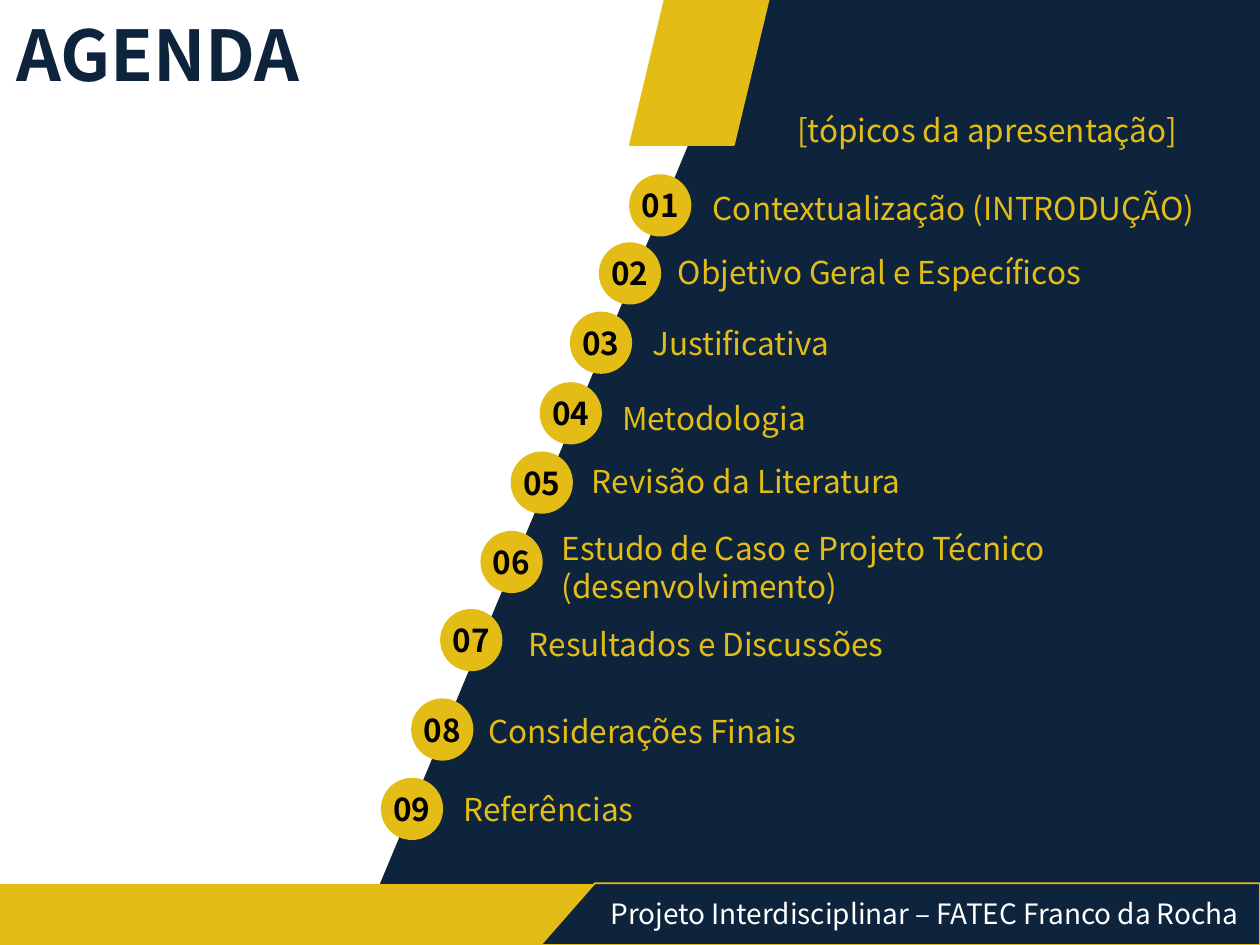
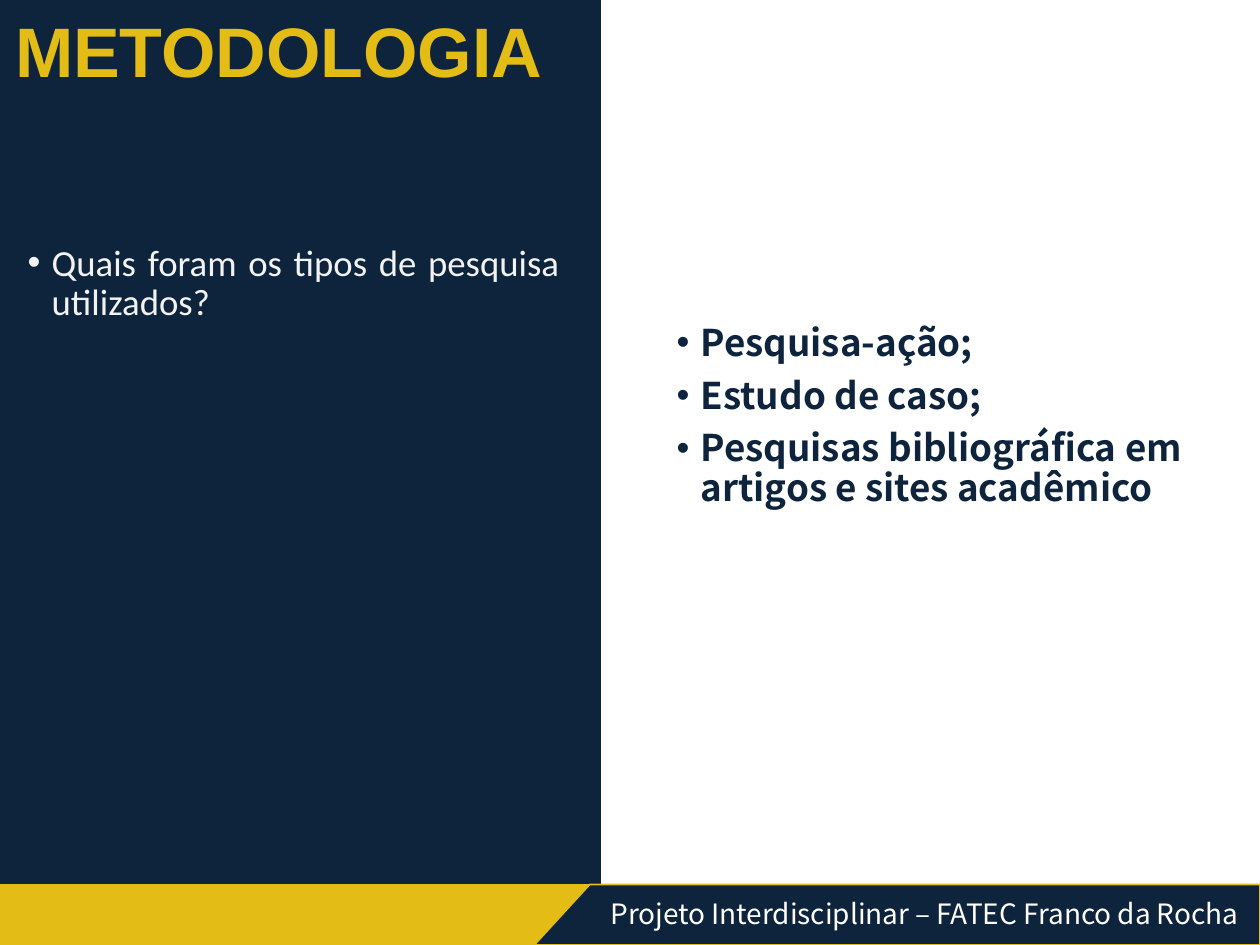
from lxml.etree import SubElement
from pptx import Presentation
from pptx.dml.color import RGBColor
from pptx.enum.shapes import MSO_SHAPE
from pptx.enum.text import MSO_ANCHOR, MSO_AUTO_SIZE, PP_ALIGN
from pptx.oxml.ns import qn
from pptx.util import Inches, Pt

COLOURS = {
    "navy": "0E243C",
    "gold": "E4BC16",
    "white": "FFFFFF",
    "pale": "F2F2F2",
    "black": "000000",
}
MAIN_FONT = "Noto Sans CJK KR"
FOOTER_TEXT = "Projeto Interdisciplinar – FATEC Franco da Rocha"
BADGE_SIZE = 0.48

TOPICS = [
    ("Contextualização (INTRODUÇÃO)", (5.0, 1.39), (5.56, 1.45)),
    ("Objetivo Geral e Específicos", (4.76, 1.93), (5.28, 1.96)),
    ("Justificativa", (4.53, 2.48), (5.08, 2.52)),
    ("Metodologia", (4.29, 3.04), (4.84, 3.12)),
    ("Revisão da Literatura", (4.06, 3.59), (4.6, 3.62)),
    ("Estudo de Caso e Projeto Técnico (desenvolvimento)", (3.82, 4.22), (4.36, 4.15)),
    ("Resultados e Discussões", (3.5, 4.84), (4.1, 4.91)),
    ("Considerações Finais", (3.27, 5.55), (3.78, 5.6)),
    ("Referências", (3.03, 6.18), (3.58, 6.22)),
]


def colour(name):
    """Return the named colour of the deck."""
    return RGBColor.from_string(COLOURS[name])


def paint(shape, fill, line=None):
    """Give a shape a flat fill and a thin outline."""
    shape.shadow.inherit = False
    shape.fill.solid()
    shape.fill.fore_color.rgb = colour(fill)
    shape.line.color.rgb = colour(line or fill)
    shape.line.width = Pt(1)
    return shape


def add_preset(page, kind, box, fill):
    """Add a painted preset shape in a box of left, top, width, height."""
    return paint(page.shapes.add_shape(kind, *map(Inches, box)), fill)


def add_outline(page, points, fill, line=None):
    """Add a closed polygon through points given in inches."""
    corners = [(Inches(x), Inches(y)) for x, y in points]
    builder = page.shapes.build_freeform(*corners[0])
    builder.add_line_segments(corners[1:], close=True)
    return paint(builder.convert_to_shape(), fill, line)


def send_to_back(page, shape):
    """Place a shape behind everything else on the page."""
    page.shapes._spTree.insert(2, shape._element)


def write(para, text, size, tint, font=MAIN_FONT, bold=False):
    """Add one formatted run to a paragraph."""
    span = para.add_run()
    span.text = text
    span.font.name = font
    span.font.size = Pt(size)
    span.font.bold = bold
    span.font.color.rgb = colour(tint)


def add_label(page, box, text, size, tint, align=PP_ALIGN.LEFT):
    """Add a wrapped single-paragraph text box."""
    frame = page.shapes.add_textbox(*map(Inches, box)).text_frame
    frame.word_wrap = True
    para = frame.paragraphs[0]
    para.alignment = align
    write(para, text, size, tint)


def place(holder, box):
    """Move a placeholder to a box and centre its text vertically."""
    holder.left, holder.top, holder.width, holder.height = map(Inches, box)
    frame = holder.text_frame
    frame.auto_size = MSO_AUTO_SIZE.NONE
    frame.word_wrap = True
    frame.vertical_anchor = MSO_ANCHOR.MIDDLE
    return frame


def set_title(page, box, text, tint, font=MAIN_FONT):
    """Fill the title placeholder in the deck's title style."""
    para = place(page.shapes.title, box).paragraphs[0]
    para.alignment = PP_ALIGN.LEFT
    para.line_spacing = 0.9
    write(para, text, 40, tint, font, bold=True)


def set_list(holder, box, items, tint, align=PP_ALIGN.LEFT, font=MAIN_FONT, bold=False):
    """Fill a body placeholder with a bulleted list."""
    frame = place(holder, box)
    for index, item in enumerate(items):
        para = frame.add_paragraph() if index else frame.paragraphs[0]
        properties = para._p.get_or_add_pPr()
        properties.set("marL", str(Inches(0.19)))
        properties.set("indent", str(Inches(-0.19)))
        bullet_colour = SubElement(properties, qn("a:buClr"))
        SubElement(bullet_colour, qn("a:srgbClr")).set("val", COLOURS[tint])
        SubElement(properties, qn("a:buChar")).set("char", "•")
        para.alignment = align
        para.line_spacing = 0.9
        para.space_before = Pt(7.5 if index else 0)
        write(para, item, 21, tint, font, bold)


def add_footer(page, band_width, slant_top, slant_bottom, top):
    """Add the gold band with the slanted navy plate and its caption."""
    add_preset(page, MSO_SHAPE.RECTANGLE, (0, 7.02, band_width, 0.48), "gold")
    plate = [(slant_top, top), (10, top), (10, 7.5), (slant_bottom, 7.5)]
    add_outline(page, plate, "navy", "gold")
    add_label(page, (4.06, 7.07, 5.87, 0.37), FOOTER_TEXT, 16, "white", PP_ALIGN.RIGHT)


def add_topic(page, number, text, badge_at, label_at):
    """Add a numbered badge and the topic beside it."""
    badge = add_preset(page, MSO_SHAPE.OVAL, (*badge_at, BADGE_SIZE, BADGE_SIZE), "gold")
    frame = badge.text_frame
    frame.margin_left = frame.margin_right = frame.margin_top = frame.margin_bottom = 0
    frame.word_wrap = False
    frame.vertical_anchor = MSO_ANCHOR.MIDDLE
    para = frame.paragraphs[0]
    para.alignment = PP_ALIGN.CENTER
    write(para, f"{number:02}", 18, "black", bold=True)
    left, top = label_at
    add_label(page, (left, top, min(5.13, 9.9 - left), 0.4), text, 18, "gold")


def build_agenda(deck):
    """Build the agenda page with its topics along the slanted edge."""
    page = deck.slides.add_slide(deck.slide_layouts[5])
    panel = add_outline(page, [(5.95, 0), (10, 0), (10, 7.5), (2.82, 7.5)], "navy")
    send_to_back(page, panel)
    set_title(page, (0.03, 0.03, 9, 0.87), "AGENDA", "navy")
    ribbon = add_preset(page, MSO_SHAPE.PARALLELOGRAM, (5, 0, 1.1, 1.15), "gold")
    ribbon.adjustments[0] = 0.25
    add_label(page, (6.23, 0.83, 3.5, 0.4), "[tópicos da apresentação]", 18, "gold")
    for number, topic in enumerate(TOPICS, start=1):
        add_topic(page, number, *topic)
    add_footer(page, 9.88, 4.72, 4.29, 7.01)


def build_methodology(deck):
    """Build the methodology page with a question and its answers."""
    page = deck.slides.add_slide(deck.slide_layouts[3])
    panel = add_preset(page, MSO_SHAPE.RECTANGLE, (0, 0, 4.76, 7.5), "navy")
    send_to_back(page, panel)
    set_title(page, (0.02, 0, 9, 0.87), "METODOLOGIA", "gold", "Arial")
    question, answers = page.placeholders[1], page.placeholders[2]
    set_list(question, (0.12, 1.23, 4.42, 2.05),
             ["Quais foram os tipos de pesquisa utilizados?"],
             "pale", PP_ALIGN.JUSTIFY, "Calibri")
    set_list(answers, (5.27, 1.37, 4.3, 3.88),
             ["Pesquisa-ação;", "Estudo de caso;",
              "Pesquisas bibliográfica em artigos e sites acadêmico"],
             "navy", bold=True)
    add_footer(page, 10, 4.68, 4.24, 7.02)


def main():
    """Build and save the deck."""
    deck = Presentation()
    deck.slide_width, deck.slide_height = Inches(10), Inches(7.5)
    build_agenda(deck)
    build_methodology(deck)
    deck.save("out.pptx")


if __name__ == "__main__":
    main()
